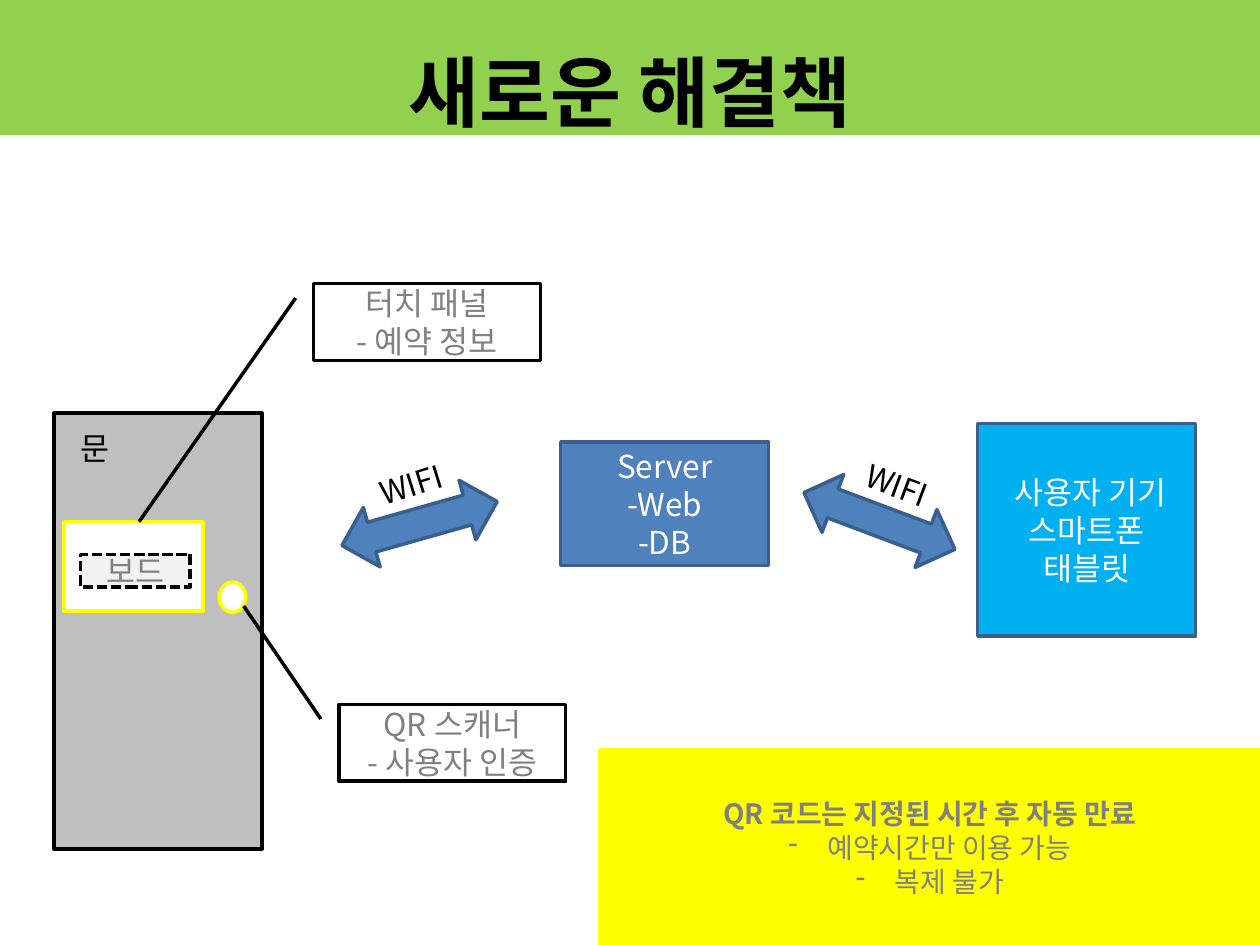
from dataclasses import dataclass

from lxml import etree
from pptx import Presentation
from pptx import util as u
from pptx.dml.color import RGBColor
from pptx.enum import dml, shapes, text
from pptx.oxml.ns import qn


@dataclass(frozen=True)
class Theme:
    """Colours, font and type sizes of the slide."""
    font: str = "Noto Sans CJK KR"
    black: str = "000000"
    white: str = "FFFFFF"
    grey: str = "808080"
    door: str = "BFBFBF"
    board: str = "F2F2F2"
    green: str = "92D050"
    yellow: str = "FFFF00"
    blue: str = "4F81BD"
    edge: str = "3A5F8C"
    sky: str = "00B0F0"
    title: int = 44
    body: int = 18
    note: int = 16
    line: int = 2


class Deck:
    """Draws styled elements on the current slide."""

    def __init__(self, prs, theme):
        """Add a title-only slide."""
        self.t = theme
        self.s = prs.slides.add_slide(prs.slide_layouts[5])

    def place(self, sp, box):
        """Set position and size in inches."""
        sp.left, sp.top, sp.width, sp.height = map(u.Inches, box)

    def fill(self, sp, color):
        """Give a solid fill."""
        sp.fill.solid()
        sp.fill.fore_color.rgb = RGBColor.from_string(color)

    def add_lines(self, tf, lines, color, size, align=text.PP_ALIGN.CENTER, bold=False):
        """Add one paragraph per line."""
        for i, line in enumerate(lines):
            p = tf.paragraphs[0] if i == 0 else tf.add_paragraph()
            p.alignment = align
            r = p.add_run()
            r.text = line
            f = r.font
            f.name, f.size, f.bold = self.t.font, u.Pt(size), bold
            f.color.rgb = RGBColor.from_string(color)
            ea = etree.SubElement(f._element, qn("a:ea"))
            ea.set("typeface", self.t.font)

    def title(self, box, line):
        """Format the title placeholder as a banner."""
        sp = self.s.shapes.title
        self.place(sp, box)
        self.fill(sp, self.t.green)
        tf = sp.text_frame
        tf.auto_size = text.MSO_AUTO_SIZE.NONE
        tf.vertical_anchor = text.MSO_ANCHOR.MIDDLE
        self.add_lines(tf, [line], self.t.black, self.t.title, bold=True)
        tf.paragraphs[0].line_spacing = 1.5

    def shape(self, kind, box, fill, line, lines=(), color=None, size=None, rot=0, adj=()):
        """Add a preset shape with centred text."""
        sp = self.s.shapes.add_shape(kind, *map(u.Inches, box))
        sp.shadow.inherit = False
        sp.rotation = rot
        for i, value in enumerate(adj):
            sp.adjustments[i] = value
        self.fill(sp, fill)
        sp.line.color.rgb = RGBColor.from_string(line)
        sp.line.width = u.Pt(self.t.line)
        tf = sp.text_frame
        tf.word_wrap = True
        tf.vertical_anchor = text.MSO_ANCHOR.MIDDLE
        self.add_lines(tf, lines, color or self.t.grey, size or self.t.body)
        return sp

    def label(self, box, line, rot=0):
        """Add a one-line text box."""
        sp = self.s.shapes.add_textbox(*map(u.Inches, box))
        sp.rotation = rot
        tf = sp.text_frame
        tf.word_wrap = False
        tf.auto_size = text.MSO_AUTO_SIZE.SHAPE_TO_FIT_TEXT
        self.add_lines(tf, [line], self.t.black, self.t.body, text.PP_ALIGN.LEFT)

    def bullet(self, p):
        """Turn a paragraph into a dashed list item."""
        pPr = p._p.get_or_add_pPr()
        pPr.set("marL", str(u.Inches(0.31)))
        pPr.set("indent", str(-u.Inches(0.31)))
        etree.SubElement(pPr, qn("a:buChar")).set("char", "-")


def main():
    """Build the slide."""
    prs = Presentation()
    prs.slide_width, prs.slide_height = u.Inches(10), u.Inches(7.5)
    t = Theme()
    d = Deck(prs, t)
    kind = shapes.MSO_SHAPE
    rect = kind.RECTANGLE

    d.title((0, 0, 10, 1.07), "새로운 해결책")

    d.shape(rect, (0.43, 3.28, 1.65, 3.46), t.door, t.black)
    d.shape(rect, (0.51, 4.14, 1.1, 0.71), t.white, t.yellow)
    d.shape(kind.OVAL, (1.74, 4.62, 0.21, 0.24), t.white, t.yellow)
    d.label((0.54, 3.36, 0.45, 0.4), "문")

    callouts = [
        (2.49, 2.25, (3.1, -0.77), ["터치 패널", "- 예약 정보"]),
        (2.69, 5.59, (-1.28, -0.42), ["QR 스캐너", "- 사용자 인증"]),
    ]
    for x, y, tip, lines in callouts:
        d.shape(kind.LINE_CALLOUT_1, (x, y, 1.8, 0.61), t.white, t.black, lines,
                adj=(0.19, -0.08, *tip))

    board = d.shape(rect, (0.64, 4.4, 0.87, 0.26), t.board, t.black, ["보드"])
    board.line.dash_style = dml.MSO_LINE.SQUARE_DOT

    d.shape(rect, (4.45, 3.51, 1.65, 0.98), t.blue, t.edge,
            ["Server", "-Web", "-DB"], t.white)
    d.shape(rect, (7.76, 3.36, 1.73, 1.69), t.sky, t.edge,
            [" 사용자 기기", "스마트폰", "태블릿"], t.white)

    for x, y, rot in [(2.69, 3.91, 344.2), (6.34, 3.89, 20.6)]:
        d.shape(kind.LEFT_RIGHT_ARROW, (x, y, 1.28, 0.49), t.blue, t.edge, rot=rot)
    for x, y, rot in [(2.91, 3.64, 342.7), (6.77, 3.65, 20.4)]:
        d.label((x, y, 0.71, 0.4), "WIFI", rot)

    note = d.shape(rect, (4.76, 5.95, 5.24, 1.55), t.yellow, t.yellow,
                   ["QR 코드는 지정된 시간 후 자동 만료", "예약시간만 이용 가능", "복제 불가"],
                   size=t.note)
    head, *items = note.text_frame.paragraphs
    head.runs[0].font.bold = True
    for p in items:
        d.bullet(p)

    prs.save("out.pptx")


main()
